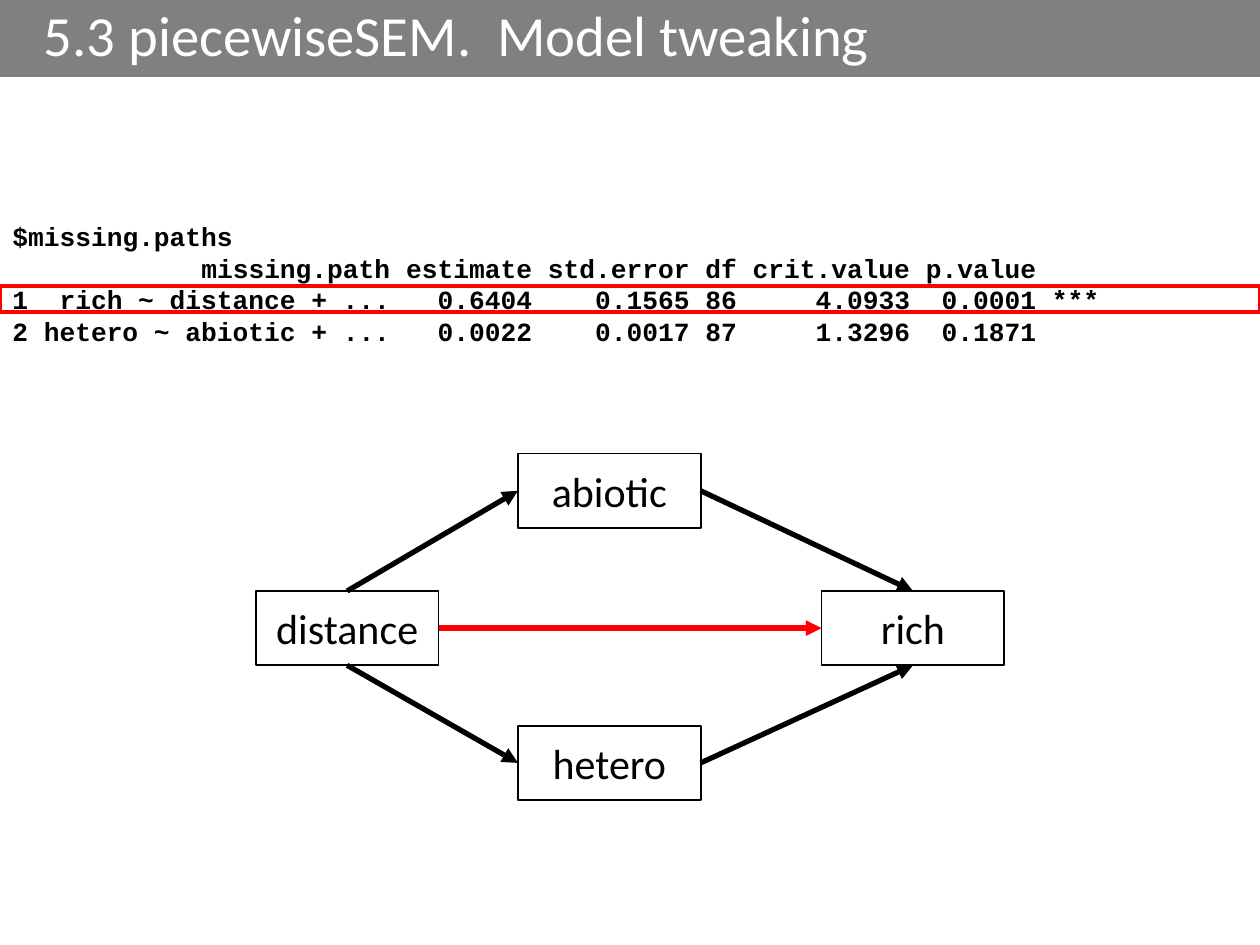
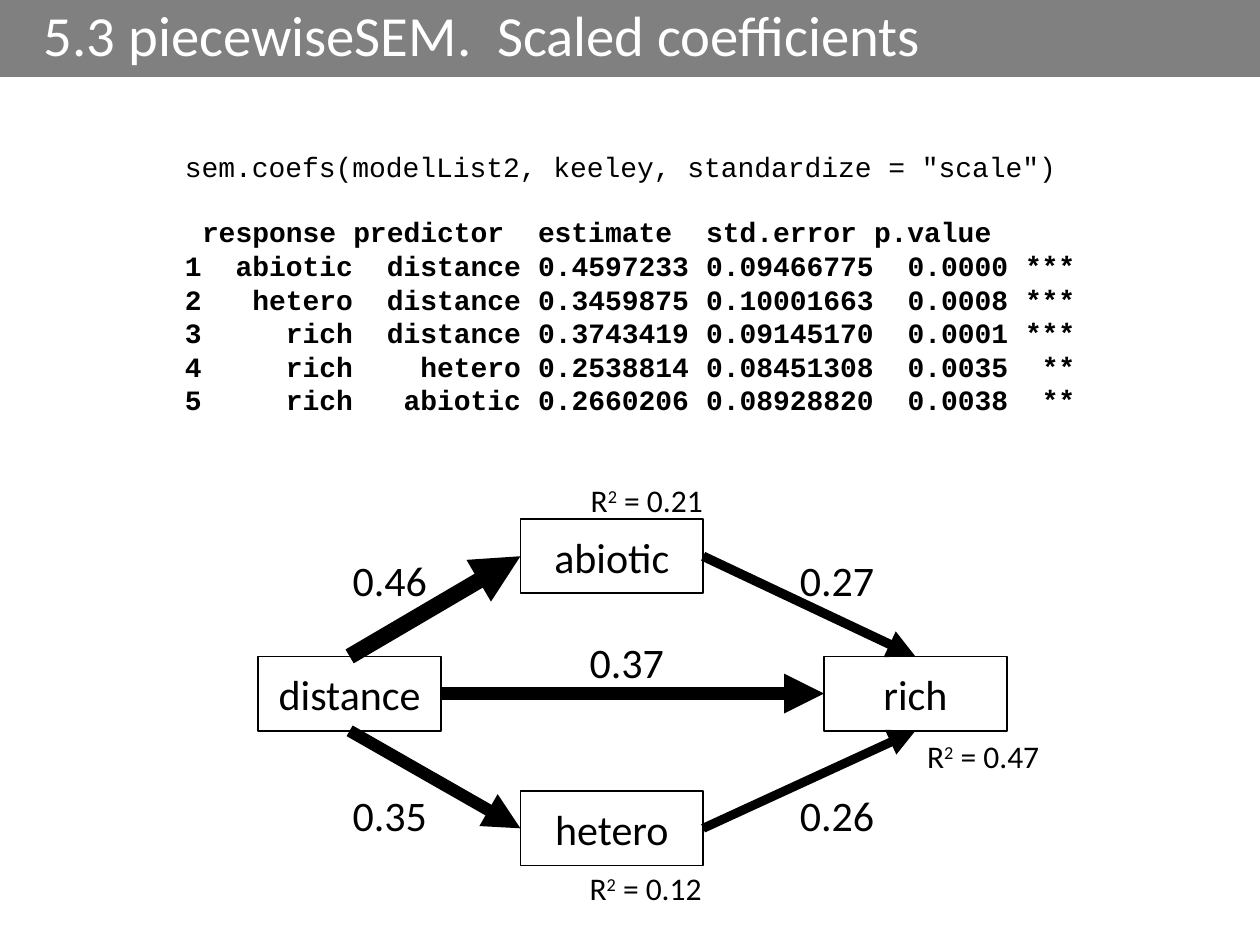
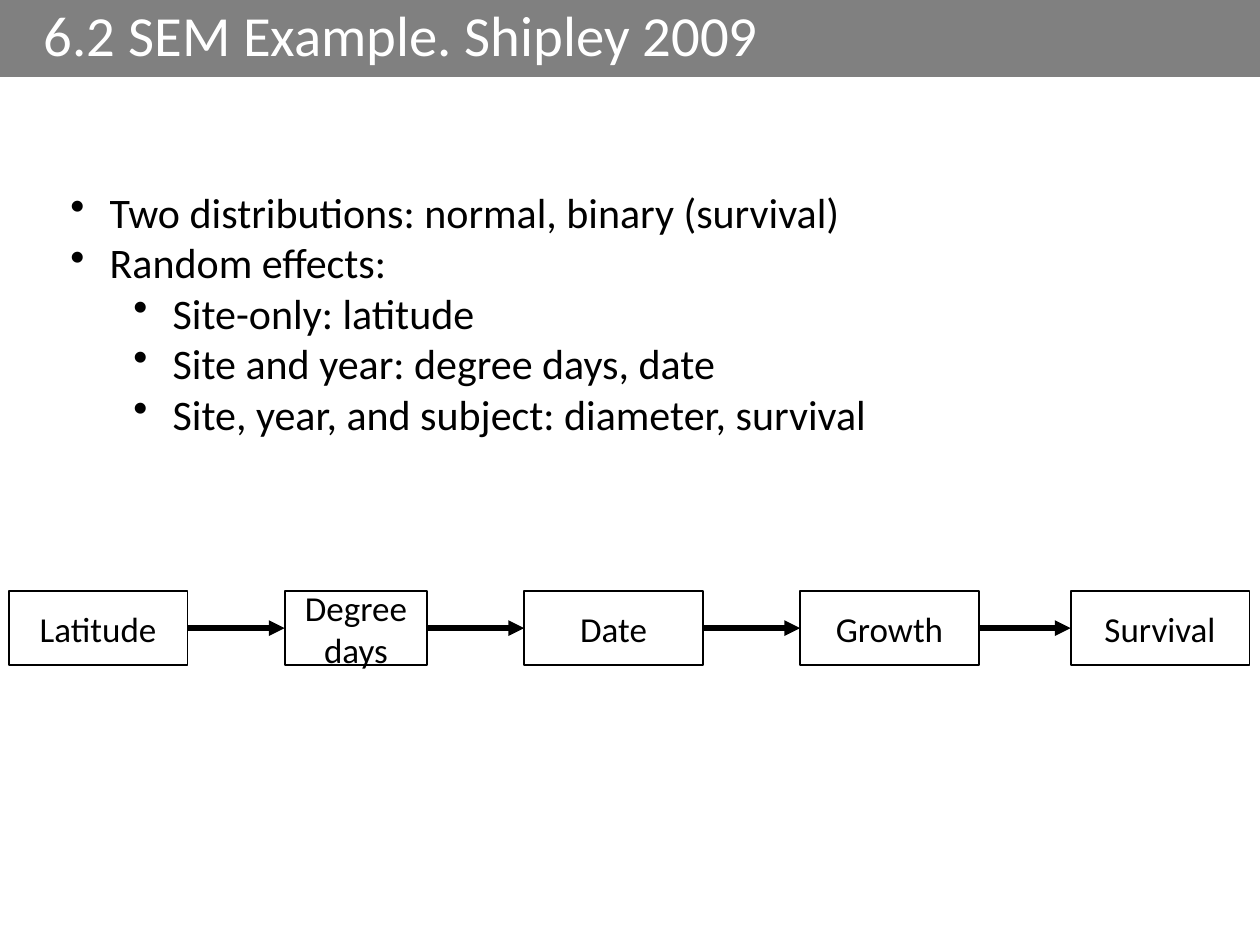
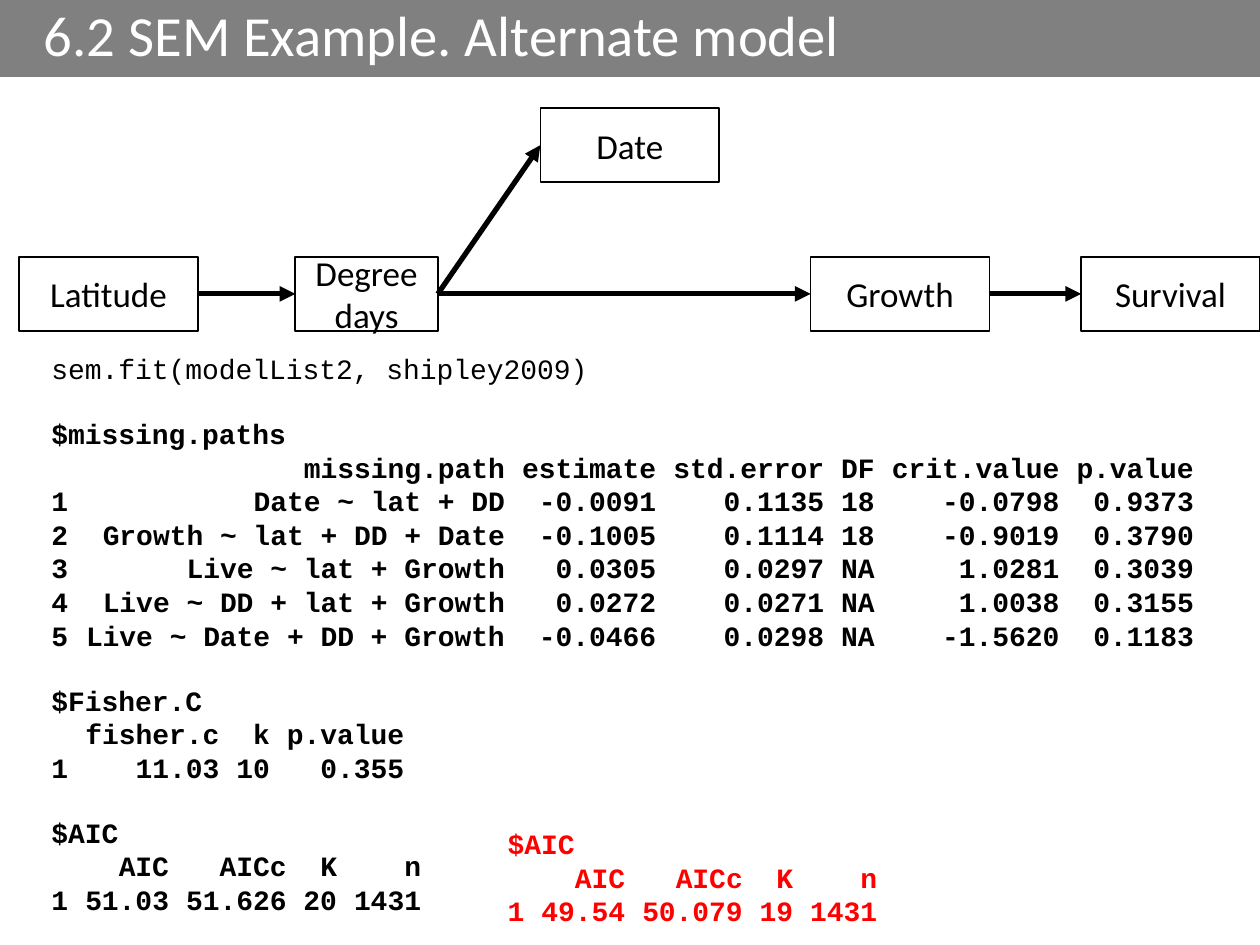
"""Build four slides on structural equation models: path diagrams and console output."""
from dataclasses import dataclass

from lxml import etree
from pptx import Presentation
from pptx.dml.color import RGBColor
from pptx.enum import shapes, text as t
from pptx.oxml import ns
from pptx import util as u


@dataclass(frozen=True)
class Theme:
    ink: str = "000000"
    paper: str = "FFFFFF"
    band: str = "808080"
    accent: str = "FF0000"
    sans: str = "Calibri"
    mono: str = "Courier New"
    title: float = 32.4
    body: float = 24
    step: float = 20
    note: float = 18
    code: float = 16
    code_small: float = 15
    mono_advance: float = 0.6
    code_gap: float = 18
    outline: float = 1
    arrow: float = 3


THEME = Theme()
SLIDE_SIZE = (720, 540)
NODE_SIZE = (104.4, 42.5)
STEP_WIDTH = 102.2
NARROW_STEP_WIDTH = 81.4
SITES = {"top": 0, "left": 1, "bottom": 2, "right": 3}


def add_xml(parent, tag, **attributes):
    return etree.SubElement(parent, ns.qn(tag), attributes)


def write(para, text, size=THEME.body, color=THEME.ink, font=THEME.sans, bold=False, raised=False):
    span = para.add_run()
    span.text = text
    span.font.name = font
    span.font.size = u.Pt(size)
    span.font.bold = bold
    span.font.color.rgb = RGBColor.from_string(color)
    if raised:
        span.font._element.set("baseline", "30000")


class Painter:
    def __init__(self, theme):
        self.theme = theme
        self.deck = Presentation()
        self.deck.slide_width, self.deck.slide_height = map(u.Pt, SLIDE_SIZE)
        self.page = None

    def new_page(self, title):
        self.page = self.deck.slides.add_slide(self.deck.slide_layouts[6])
        band = self.box(0, 0, SLIDE_SIZE[0], 43.9, fill=self.theme.band)
        para = band.text_frame.paragraphs[0]
        para.alignment = t.PP_ALIGN.LEFT
        para.line_spacing = 0.9
        self.indent(para, 18)
        write(para, title, size=self.theme.title, color=self.theme.paper)

    def indent(self, para, margin, hanging=0):
        properties = para._p.get_or_add_pPr()
        properties.set("marL", str(u.Pt(margin)))
        properties.set("indent", str(u.Pt(-hanging)))
        return properties

    def box(self, left, top, width, height, fill=None, line=None, weight=1):
        box = self.page.shapes.add_shape(
            shapes.MSO_SHAPE.RECTANGLE, *map(u.Pt, (left, top, width, height)))
        box.shadow.inherit = False
        if fill:
            box.fill.solid()
            box.fill.fore_color.rgb = RGBColor.from_string(fill)
        else:
            box.fill.background()
        if line:
            box.line.color.rgb = RGBColor.from_string(line)
            box.line.width = u.Pt(weight)
        else:
            box.line.fill.background()
        return box

    def node(self, text, left, top, width=NODE_SIZE[0], size=THEME.body):
        node = self.box(left, top, width, NODE_SIZE[1], fill=self.theme.paper,
                        line=self.theme.ink, weight=self.theme.outline)
        para = node.text_frame.paragraphs[0]
        para.alignment = t.PP_ALIGN.CENTER
        write(para, text, size=size)
        return node

    def arrow(self, start, start_side, end, end_side, weight=THEME.arrow, color=THEME.ink):
        arrow = self.page.shapes.add_connector(shapes.MSO_CONNECTOR.STRAIGHT, 0, 0, 0, 0)
        arrow.begin_connect(start, SITES[start_side])
        arrow.end_connect(end, SITES[end_side])
        arrow.line.color.rgb = RGBColor.from_string(color)
        arrow.line.width = u.Pt(weight)
        add_xml(arrow.line._get_or_add_ln(), "a:tailEnd", type="triangle")
        add_xml(arrow._element.spPr, "a:effectLst")

    def text_frame(self, left, top, width, height, wrap=True):
        box = self.page.shapes.add_textbox(*map(u.Pt, (left, top, width, height)))
        box.text_frame.word_wrap = wrap
        return box.text_frame

    def paragraphs(self, frame, texts):
        for index, text in enumerate(texts):
            yield (frame.add_paragraph() if index else frame.paragraphs[0]), text

    def label(self, text, left, top):
        frame = self.text_frame(left, top, 57.6, 36, wrap=False)
        write(frame.paragraphs[0], text)

    def r_squared(self, value, left, top):
        para = self.text_frame(left, top, 80, 29, wrap=False).paragraphs[0]
        write(para, "R", size=self.theme.note)
        write(para, "2", size=self.theme.note, raised=True)
        write(para, f" = {value}", size=self.theme.note)

    def bullets(self, items, left, top, width, height):
        frame = self.text_frame(left, top, width, height)
        for para, (level, text) in self.paragraphs(frame, items):
            para.level = level
            properties = self.indent(para, 22.5 + 36 * level, 22.5)
            add_xml(properties, "a:buChar", char="•")
            write(para, text)

    def console(self, blocks, left, top, width, height, size=THEME.code, color=THEME.ink):
        """Set blocks of (gap before, column ends in characters, bold, rows split by |)."""
        frame = self.text_frame(left, top, width, height)
        rows = [(gap if index == 0 else 0, ends, bold, row)
                for gap, ends, bold, block in blocks for index, row in enumerate(block)]
        for para, (gap, ends, bold, row) in self.paragraphs(frame, rows):
            para.space_before = u.Pt(gap)
            if ends:
                stops = add_xml(para._p.get_or_add_pPr(), "a:tabLst")
                for end in ends:
                    position = u.Pt(end * size * self.theme.mono_advance)
                    add_xml(stops, "a:tab", pos=str(position), algn="r")
            write(para, row.replace("|", "\t"), size=size, color=color,
                  font=self.theme.mono, bold=bold)

    def diamond(self, left, top):
        offsets = {"distance": (0, 78.5), "rich": (323.3, 78.5),
                   "hetero": (149.8, 155.5), "abiotic": (149.8, 0)}
        return {name: self.node(name, left + x, top + y) for name, (x, y) in offsets.items()}

    def steps(self, places):
        return {name: self.node(name, left, top,
                                NARROW_STEP_WIDTH if name == "Degree days" else STEP_WIDTH,
                                self.theme.step)
                for name, left, top in places}


DIAMOND_PATHS = [
    ("distance", "top", "abiotic", "left"),
    ("distance", "bottom", "hetero", "left"),
    ("abiotic", "right", "rich", "top"),
    ("hetero", "right", "rich", "bottom"),
    ("distance", "right", "rich", "left"),
]


def model_tweaking(painter):
    painter.new_page("5.3 piecewiseSEM.  Model tweaking")
    painter.console([
        (0, [], True, ["$missing.paths"]),
        (0, [24, 33, 43, 46, 57, 65, 69], True, [
            "|missing.path|estimate|std.error|df|crit.value|p.value",
            "1|rich ~ distance + ...|0.6404|0.1565|86|4.0933|0.0001|***",
            "2|hetero ~ abiotic + ...|0.0022|0.0017|87|1.3296|0.1871",
        ]),
    ], 0, 122.4, 641.5, 80, size=THEME.code_small)
    painter.box(0, 163.4, SLIDE_SIZE[0], 15.1, line=THEME.accent, weight=2.25)
    nodes = painter.diamond(146.2, 259.2)
    for start, start_side, end, end_side in DIAMOND_PATHS:
        direct = (start, end) == ("distance", "rich")
        painter.arrow(nodes[start], start_side, nodes[end], end_side,
                      color=THEME.accent if direct else THEME.ink)


def scaled_coefficients(painter):
    painter.new_page("5.3 piecewiseSEM.  Scaled coefficients")
    ends = [10, 20, 30, 41, 49, 53]
    painter.console([
        (0, [], False, ['sem.coefs(modelList2, keeley, standardize = "scale")']),
        (THEME.code_gap, [end - 1 for end in ends], True,
         ["|response|predictor|estimate|std.error|p.value"]),
        (0, ends, True, [
            "1|abiotic|distance|0.4597233|0.09466775|0.0000|***",
            "2|hetero|distance|0.3459875|0.10001663|0.0008|***",
            "3|rich|distance|0.3743419|0.09145170|0.0001|***",
            "4|rich|hetero|0.2538814|0.08451308|0.0035|**",
            "5|rich|abiotic|0.2660206|0.08928820|0.0038|**",
        ]),
    ], 98.6, 82.1, 530, 162.7)
    nodes = painter.diamond(147.6, 296.6)
    coefficients = [("0.46", 9.2, 194.4, 313.2), ("0.35", 7, 194.4, 447.8),
                    ("0.27", 5.4, 450, 313.2), ("0.26", 5.2, 450, 447.8),
                    ("0.37", 7.6, 329.8, 360)]
    for link, (value, weight, left, top) in zip(DIAMOND_PATHS, coefficients):
        start, start_side, end, end_side = link
        painter.arrow(nodes[start], start_side, nodes[end], end_side, weight=weight)
        painter.label(value, left, top)
    for value, left, top in [("0.21", 330.5, 271.4), ("0.12", 329.8, 493.2),
                             ("0.47", 522.7, 417.6)]:
        painter.r_squared(value, left, top)


def shipley_example(painter):
    painter.new_page("6.2 SEM Example. Shipley 2009")
    painter.bullets([
        (0, "Two distributions: normal, binary (survival)"),
        (0, "Random effects:"),
        (1, "Site-only: latitude"),
        (1, "Site and year: degree days, date"),
        (1, "Site, year, and subject: diameter, survival"),
    ], 33.1, 103, 659.5, 152.6)
    top = 337.7
    steps = painter.steps([("Latitude", 5, top), ("Degree days", 162.7, top),
                           ("Date", 299.5, top), ("Growth", 457.2, top),
                           ("Survival", 611.8, top)])
    chain = list(steps.values())
    for start, end in zip(chain, chain[1:]):
        painter.arrow(start, "right", end, "left")


def alternate_model(painter):
    painter.new_page("6.2 SEM Example. Alternate model")
    top = 146.7
    steps = painter.steps([("Latitude", 10.9, top), ("Degree days", 168.8, top),
                           ("Date", 308.8, 61.7), ("Growth", 463.2, top),
                           ("Survival", 617.8, top)])
    for start, end in [("Latitude", "Degree days"), ("Degree days", "Date"),
                       ("Degree days", "Growth"), ("Growth", "Survival")]:
        painter.arrow(steps[start], "right", steps[end], "left")
    aic_ends = [7, 14, 17, 22]
    aic_header = "|AIC|AICc|K|n"
    painter.console([
        (0, [], False, ["sem.fit(modelList2, shipley2009)"]),
        (THEME.code_gap, [], True, ["$missing.paths"]),
        (0, [27, 36, 46, 49, 60, 68], True, [
            "|missing.path|estimate|std.error|DF|crit.value|p.value",
            "1|Date ~ lat + DD|-0.0091|0.1135|18|-0.0798|0.9373",
            "2|Growth ~ lat + DD + Date|-0.1005|0.1114|18|-0.9019|0.3790",
            "3|Live ~ lat + Growth|0.0305|0.0297|NA|1.0281|0.3039",
            "4|Live ~ DD + lat + Growth|0.0272|0.0271|NA|1.0038|0.3155",
            "5|Live ~ Date + DD + Growth|-0.0466|0.0298|NA|-1.5620|0.1183",
        ]),
        (THEME.code_gap, [10, 13, 21], True,
         ["$Fisher.C", "|fisher.c|k|p.value", "1|11.03|10|0.355"]),
        (THEME.code_gap, aic_ends, True,
         ["$AIC", aic_header, "1|51.03|51.626|20|1431"]),
    ], 22.3, 197.3, 675.4, 337)
    painter.console([(0, aic_ends, True, ["$AIC", aic_header, "1|49.54|50.079|19|1431"])],
                    283, 468.7, 360, 65.5, color=THEME.accent)


def main():
    painter = Painter(THEME)
    for build in (model_tweaking, scaled_coefficients, shipley_example, alternate_model):
        build(painter)
    painter.deck.save("out.pptx")


if __name__ == "__main__":
    main()
